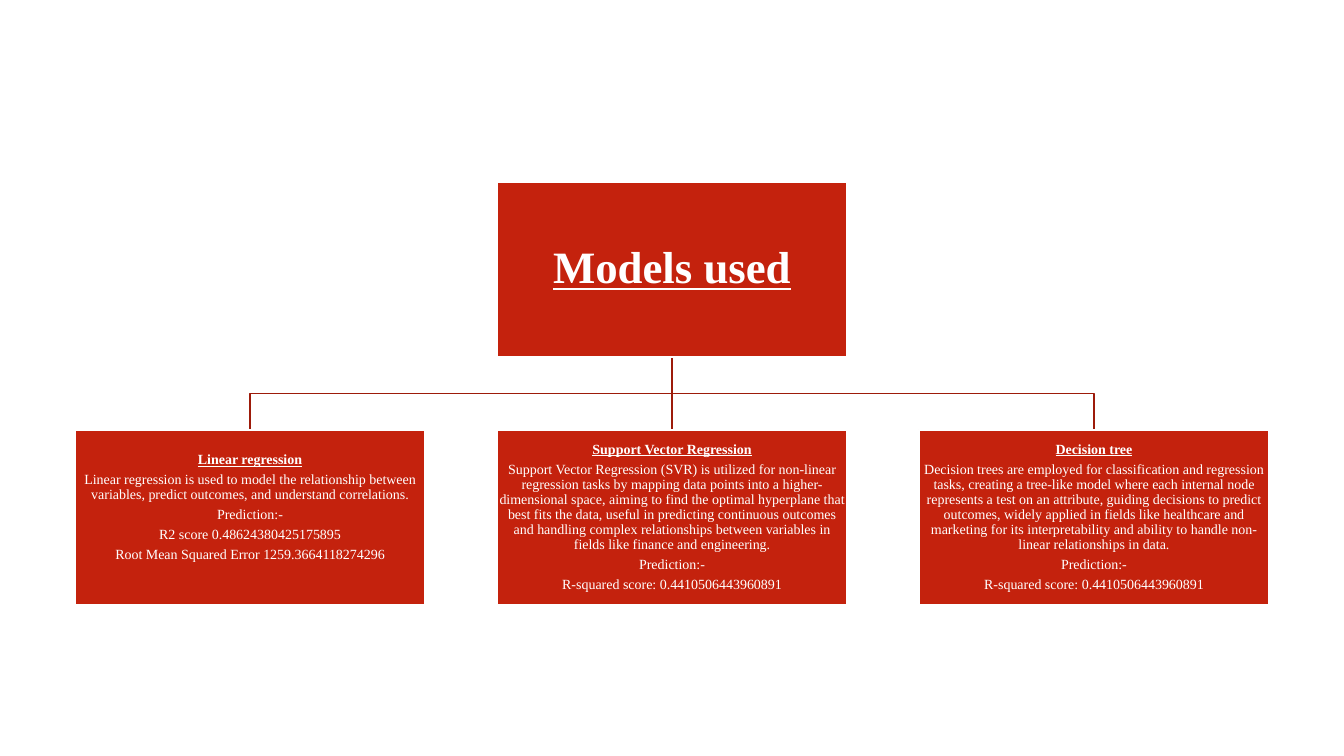
from lxml import etree
from pptx import Presentation, util as u
from pptx.dml.color import RGBColor
from pptx.enum import shapes, text
from pptx.oxml import ns

PX = 914400 / 100.8
COLORS = {"box": "C4220D", "branch": "9D1B0A", "white": "FFFFFF"}
FONT = "Times New Roman"
HEADING = {"bold": True, "underline": True}
CARD_W, CARD_H, PITCH = 350, 175, 422
LEAF_X, ROOT_Y, LEAF_Y = 75, 182, 430
EMPTY_LINE = 20

MODELS = [
    ("Linear regression",
     "Linear regression is used to model the relationship between variables, "
     "predict outcomes, and understand correlations.",
     "Prediction:-",
     "R2 score 0.48624380425175895",
     "Root Mean Squared Error 1259.3664118274296"),
    ("Support Vector Regression",
     "Support Vector Regression (SVR) is utilized for non-linear regression tasks "
     "by mapping data points into a higher-dimensional space, aiming to find the "
     "optimal hyperplane that best fits the data, useful in predicting continuous "
     "outcomes and handling complex relationships between variables in fields like "
     "finance and engineering.",
     "Prediction:-",
     "R-squared score: 0.4410506443960891"),
    ("Decision tree",
     "Decision trees are employed for classification and regression tasks, creating "
     "a tree-like model where each internal node represents a test on an attribute, "
     "guiding decisions to predict outcomes, widely applied in fields like healthcare "
     "and marketing for its interpretability and ability to handle non-linear "
     "relationships in data.",
     "Prediction:-",
     "R-squared score: 0.4410506443960891"),
]


def px(n):
    """Turn pixels into EMU."""
    return u.Emu(round(n * PX))


def rgb(name):
    """Look up a named colour."""
    return RGBColor.from_string(COLORS[name])


def apply(obj, values):
    """Set attributes from a dict of format values."""
    for key, value in values.items():
        setattr(obj, key, value)


def card(s, box, lines, size, inset=1, bottom=1):
    """Draw a filled box whose first line is an underlined heading."""
    sp = s.shapes.add_shape(shapes.MSO_SHAPE.RECTANGLE, *map(px, box))
    sp.shadow.inherit = False
    sp.fill.solid()
    sp.fill.fore_color.rgb = rgb("box")
    sp.line.color.rgb = rgb("white")
    sp.line.width = u.Pt(1)
    tf = sp.text_frame
    apply(tf, {"word_wrap": True, "vertical_anchor": text.MSO_ANCHOR.MIDDLE,
               "margin_left": px(inset), "margin_right": px(inset),
               "margin_top": px(inset), "margin_bottom": px(bottom)})
    for i, line in enumerate(lines):
        p = tf.paragraphs[0] if i == 0 else tf.add_paragraph()
        apply(p, {"alignment": text.PP_ALIGN.CENTER, "line_spacing": 0.9})
        if i:
            p.space_before = u.Pt(3.5)
        r = p.add_run()
        r.text = line
        apply(r.font, {"name": FONT, "size": u.Pt(size)})
        apply(r.font, HEADING if i == 0 else {})
        r.font.color.rgb = rgb("white")


def branch(s, x1, y1, x2, y2):
    """Draw a straight or right-angled branch from the root to a leaf."""
    if x1 == x2:
        sp = s.shapes.add_connector(shapes.MSO_CONNECTOR.STRAIGHT,
                                    *map(px, (x1, y1, x2, y2)))
        etree.SubElement(sp._element.spPr, ns.qn("a:effectLst"))
    else:
        bus_y = (y1 + y2) / 2
        fb = s.shapes.build_freeform(px(x1), px(y1))
        bends = [(x1, bus_y), (x2, bus_y), (x2, y2)]
        fb.add_line_segments([(px(x), px(y)) for x, y in bends], close=False)
        sp = fb.convert_to_shape()
        sp.shadow.inherit = False
        sp.fill.background()
    sp.line.color.rgb = rgb("branch")
    sp.line.width = u.Pt(1)


def tree(s, left, top, leaf_top):
    """Place the root card, its leaf cards and the branches between them."""
    lefts = [left + i * PITCH for i in range(len(MODELS))]
    root_x = (lefts[0] + lefts[-1]) / 2
    half = CARD_W / 2
    for x in reversed(lefts):
        branch(s, root_x + half, top + CARD_H, x + half, leaf_top)
    card(s, (root_x, top, CARD_W, CARD_H), ["Models used"], 32, 2, 2)
    for i, (x, lines) in enumerate(zip(lefts, MODELS)):
        card(s, (x, leaf_top, CARD_W, CARD_H), lines, 10,
             bottom=1 if i else 1 + EMPTY_LINE)


def main():
    """Build and save the slide."""
    prs = Presentation()
    apply(prs, {"slide_width": px(1344), "slide_height": px(756)})
    s = prs.slides.add_slide(prs.slide_layouts[6])
    tree(s, LEAF_X, ROOT_Y, LEAF_Y)
    prs.save("out.pptx")


if __name__ == "__main__":
    main()
